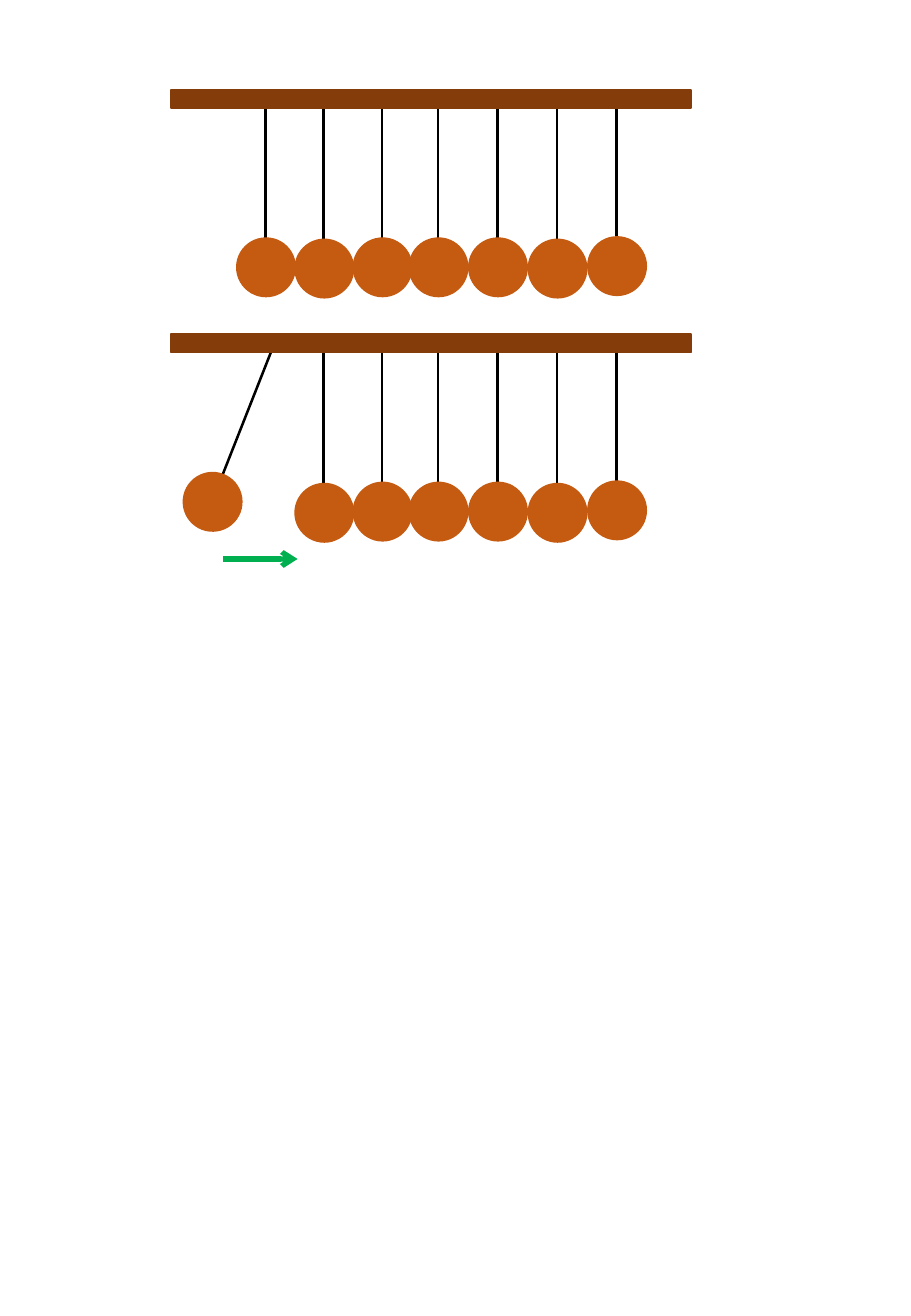
from pptx import Presentation, util as u
from pptx.dml.color import RGBColor
from pptx.enum import shapes
from pptx.oxml.ns import qn
from lxml import etree

COLUMNS, ROWS = 750, 1083
BALL = 48
STRING = 112
FRAME_GAP = 201
# Column and row of each ball's centre in the upper frame, in drawing order
BALLS = [(219, 220), (267, 221), (459, 221), (315, 220),
         (361, 220), (410, 220), (508, 219)]


def colour(code):
    return RGBColor.from_string(code)


class Cradle:
    """Draws on a page divided into COLUMNS by ROWS."""
    wood, copper, cord, motion = "843C0B", "C55A11", "000000", "00B050"

    def __init__(self, deck):
        self.cell_width = deck.slide_width / COLUMNS
        self.cell_height = deck.slide_height / ROWS
        self.page = deck.slides.add_slide(deck.slide_layouts[6])

    def place(self, column, row):
        return round(column * self.cell_width), round(row * self.cell_height)

    def shape(self, parent, kind, corner, size, fill):
        shape = parent.add_shape(kind, *self.place(*corner), *self.place(*size))
        shape.shadow.inherit = False
        shape.fill.solid()
        shape.fill.fore_color.rgb = colour(fill)
        shape.line.color.rgb = colour(fill)
        shape.line.width = u.Pt(1)
        return shape

    def line(self, parent, start, end, stroke, width):
        line = parent.add_connector(shapes.MSO_CONNECTOR.STRAIGHT,
                                    *self.place(*start), *self.place(*end))
        line.line.color.rgb = colour(stroke)
        line.line.width = u.Pt(width)
        etree.SubElement(line._element.spPr, qn("a:effectLst"))
        return line

    def bar(self, row):
        self.shape(self.page.shapes, shapes.MSO_SHAPE.RECTANGLE,
                   (141, row), (428, 15), self.wood)

    def pendulum(self, centre, start, end, tilt=0):
        """Groups a string, drawn from ball to bar, with its ball."""
        group = self.page.shapes.add_group_shape()
        self.line(group.shapes, start, end, self.cord, 1.5)
        corner = [middle - BALL / 2 for middle in centre]
        ball = self.shape(group.shapes, shapes.MSO_SHAPE.OVAL,
                          corner, (BALL, BALL), self.copper)
        ball.rotation = tilt

    def hanging(self, column, row):
        low = row - 20
        self.pendulum((column, row), (column - 0.5, low),
                      (column - 0.5, low - STRING))

    def arrow(self, start, end):
        line = self.line(self.page.shapes, start, end, self.motion, 3)
        etree.SubElement(line.line._get_or_add_ln(), qn("a:tailEnd"), type="arrow")


def main():
    deck = Presentation()
    deck.slide_width, deck.slide_height = u.Inches(7.5), u.Inches(10.83)
    cradle = Cradle(deck)
    for column, row in BALLS:
        cradle.hanging(column, row)
    cradle.bar(74)

    cradle.pendulum((175, 413), (182, 394), (223, 290), tilt=21.1)
    for column, row in BALLS[1:]:
        cradle.hanging(column, row + FRAME_GAP)
    cradle.bar(74 + FRAME_GAP)
    cradle.arrow((184, 460), (245, 460))
    deck.save("out.pptx")


if __name__ == "__main__":
    main()
